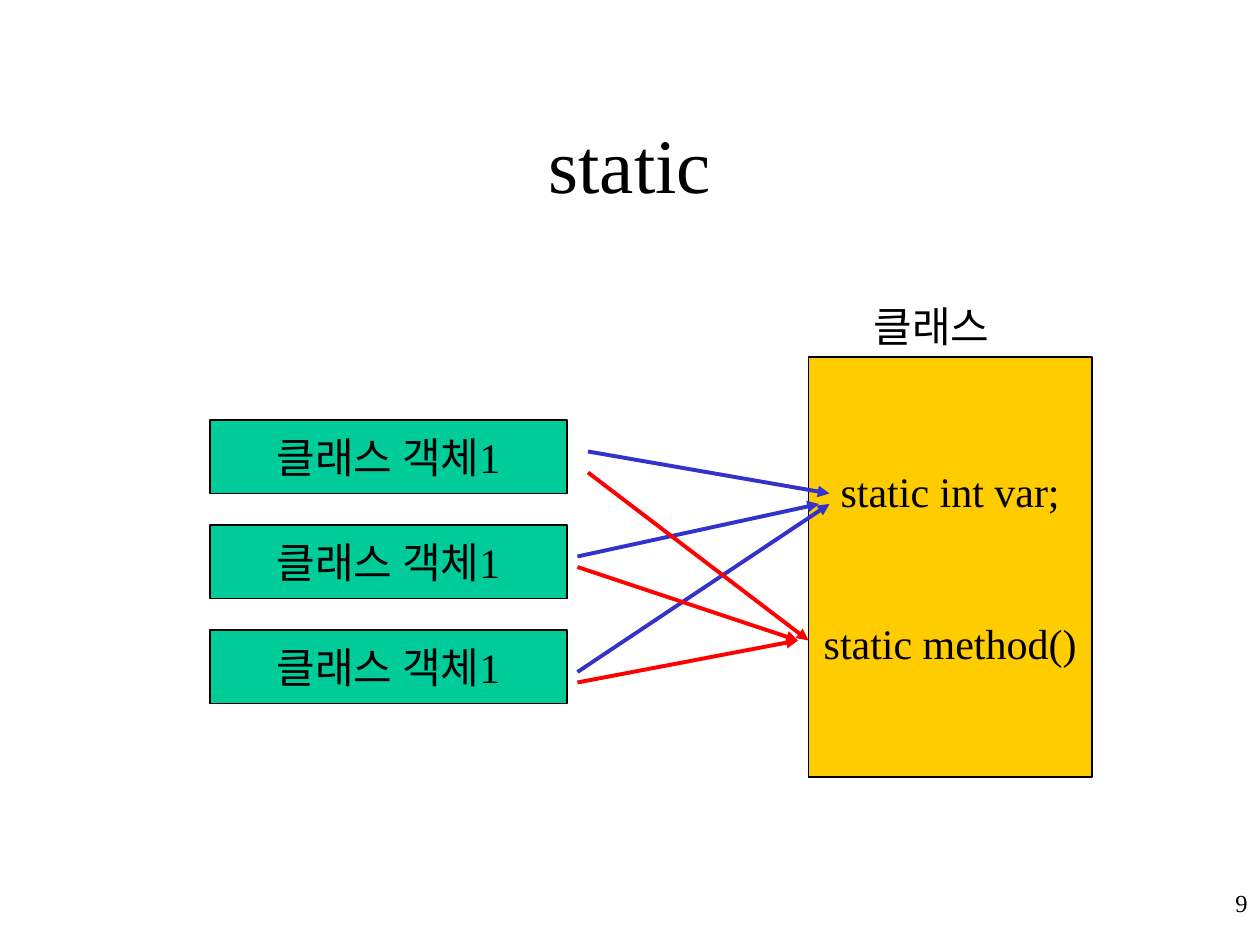
"""Build the slide on static members shared by the objects of a class."""
from dataclasses import dataclass

from lxml.etree import SubElement
from pptx import Presentation
from pptx.dml.color import RGBColor
from pptx.enum.shapes import MSO_CONNECTOR as Connector, MSO_SHAPE as Shape
from pptx.enum.text import MSO_ANCHOR as Anchor, PP_ALIGN as Align
from pptx.oxml.ns import qn
from pptx.slide import Slide
from pptx.util import Inches, Pt

COLORS = {
    "ink": "000000",
    "object": "00CC99",
    "class": "FFCC00",
    "variable": "3333CC",
    "method": "FF0000",
}
FONT = "Times New Roman"
CELL = Inches(1) // 12
COLUMNS, ROWS = 120, 90


@dataclass(frozen=True)
class Block:
    col: int
    row: int
    cols: int
    rows: int
    lines: tuple[str, ...]
    fill: str = ""
    size: int = 24
    align: Align = Align.CENTER
    anchor: Anchor = Anchor.MIDDLE
    gap: int = 0


@dataclass(frozen=True)
class Access:
    start: tuple[int, int]
    end: tuple[int, int]
    color: str


def rgb(name: str) -> RGBColor:
    return RGBColor.from_string(COLORS[name])


def draw_block(slide: Slide, block: Block) -> None:
    area = [CELL * n for n in (block.col, block.row, block.cols, block.rows)]
    if block.fill:
        shape = slide.shapes.add_shape(Shape.RECTANGLE, *area)
        shape.shadow.inherit = False
        shape.fill.solid()
        shape.fill.fore_color.rgb = rgb(block.fill)
        shape.line.color.rgb = rgb("ink")
        shape.line.width = Pt(0.75)
    else:
        shape = slide.shapes.add_textbox(*area)
    frame = shape.text_frame
    frame.word_wrap = not block.fill
    frame.vertical_anchor = block.anchor
    frame.text = "\n".join(block.lines)
    for index, paragraph in enumerate(frame.paragraphs):
        paragraph.alignment = block.align
        if index:
            paragraph.space_before = Pt(block.gap)
        paragraph.font.name = FONT
        paragraph.font.size = Pt(block.size)
        paragraph.font.color.rgb = rgb("ink")


def draw_access(slide: Slide, access: Access) -> None:
    ends = [CELL * n for n in access.start + access.end]
    arrow = slide.shapes.add_connector(Connector.STRAIGHT, *ends)
    arrow.line.color.rgb = rgb(access.color)
    arrow.line.width = Pt(2.25)
    SubElement(arrow.line._get_or_add_ln(), qn("a:tailEnd"), type="triangle")
    SubElement(arrow._element.spPr, qn("a:effectLst"))


def main() -> None:
    title = Block(9, 8, 102, 15, ("static",), size=44)
    objects = [
        Block(20, row, 34, 7, ("클래스 객체1",), "object") for row in (40, 50, 60)
    ]
    members = Block(
        77, 34, 27, 40, ("static int var;", "static method()"), "class", gap=58
    )
    class_label = Block(
        82, 28, 15, 6, ("클래스",), align=Align.LEFT, anchor=Anchor.TOP
    )
    page_number = Block(
        95, 84, 25, 6, ("9",), size=14, align=Align.RIGHT, anchor=Anchor.TOP
    )
    accesses = [
        Access((56, 43), (79, 47), "variable"),
        Access((55, 53), (78, 48), "variable"),
        Access((55, 64), (79, 48), "variable"),
        Access((56, 45), (77, 61), "method"),
        Access((55, 54), (76, 61), "method"),
        Access((55, 65), (76, 61), "method"),
    ]

    deck = Presentation()
    deck.slide_width, deck.slide_height = CELL * COLUMNS, CELL * ROWS
    slide = deck.slides.add_slide(deck.slide_layouts[6])
    for block in (title, *objects, members, class_label):
        draw_block(slide, block)
    for access in accesses:
        draw_access(slide, access)
    draw_block(slide, page_number)
    deck.save("out.pptx")


if __name__ == "__main__":
    main()
